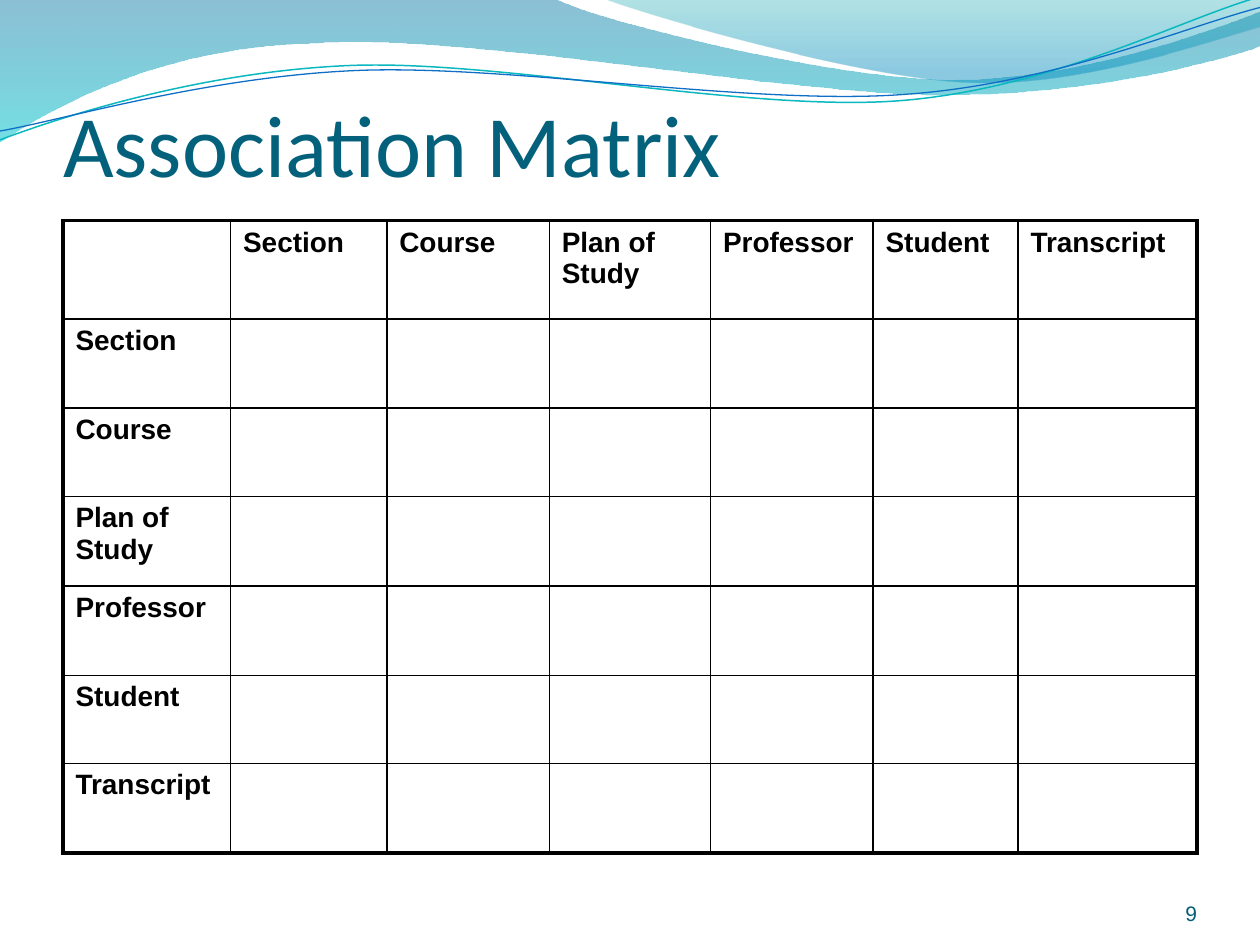
import math

import pptx
import pptx.dml.color
import pptx.enum.text
import pptx.oxml
import pptx.oxml.ns
import pptx.util
from pptx.util import Inches, Pt

RGBColor = pptx.dml.color.RGBColor
PP_ALIGN = pptx.enum.text.PP_ALIGN
MSO_ANCHOR = pptx.enum.text.MSO_ANCHOR
qn = pptx.oxml.ns.qn

BLACK = RGBColor(0x00, 0x00, 0x00)
TITLE_TEAL = RGBColor(0x04, 0x61, 0x7B)
NUMBER_TEAL = RGBColor(0x04, 0x5D, 0x75)
DEEP_BLUE = RGBColor(0x00, 0x74, 0xA1)
TURQUOISE = RGBColor(0x00, 0xC6, 0xCF)
SEA_GREEN = RGBColor(0x00, 0xA1, 0xA9)
SKY_BLUE = RGBColor(0x00, 0x8B, 0xBF)
LINE_TEAL = RGBColor(0x0A, 0xB8, 0xBF)
LINE_BLUE = RGBColor(0x0F, 0x6F, 0xC6)

CLASSES = ["Section", "Course", "Plan of Study", "Professor", "Student", "Transcript"]
COLUMN_WIDTHS = [1.33, 1.24, 1.29, 1.28, 1.29, 1.15, 1.42]
ROW_HEIGHTS = [0.78, 0.71, 0.7, 0.71, 0.71, 0.7, 0.71]
OUTER_BORDER, INNER_BORDER = 2.25, 1
WAVE_TILT = -2.7

# Each wave is a list of steps: one point is a line, three are a Bezier curve
BACK_WAVE = [
    [(0, 0)], [(4.4, -0.01)],
    [(4.76, 0.17), (6.64, 0.63), (7.58, 0.63)],
    [(8.53, 0.63), (9.58, 0.26), (10, 0.09)],
    [(10.01, 0.36)],
    [(9.83, 0.44), (8.7, 0.76), (7.46, 0.75)],
    [(6.22, 0.75), (3.82, 0.28), (2.57, 0.34)],
    [(1.29, 0.36), (0.46, 0.83), (-0.01, 1.13)],
    [(0, 0)],
]
FRONT_WAVE = [
    [(4.79, -0.01)],
    [(5.09, 0.11), (6.82, 0.62), (7.69, 0.65)],
    [(8.56, 0.69), (9.61, 0.32), (10, 0.21)],
    [(10, 0)], [(4.79, -0.01)],
]
TEAL_LINE = [
    [(0, 1.11)],
    [(0.48, 0.93), (1.58, 0.57), (2.77, 0.52)],
    [(3.95, 0.47), (5.93, 0.89), (7.13, 0.8)],
    [(8.33, 0.71), (9.38, 0.15), (9.98, -0.02)],
]
BLUE_LINE = [
    [(0, 1.04)],
    [(0.47, 0.96), (1.64, 0.61), (2.83, 0.56)],
    [(4.03, 0.51), (5.97, 0.84), (7.17, 0.75)],
    [(8.36, 0.67), (9.41, 0.21), (10, 0.06)],
]


def turn(steps, center, degrees):
    """Rotate the points of all steps clockwise about a center."""
    cos, sin = math.cos(math.radians(degrees)), math.sin(math.radians(degrees))
    cx, cy = center
    return [[(cx + (x - cx) * cos - (y - cy) * sin,
              cy + (x - cx) * sin + (y - cy) * cos) for x, y in step] for step in steps]


def write(frame, text, *, size, font="Arial", color=BLACK, bold=None,
          align=PP_ALIGN.LEFT, before=None):
    """Put one formatted paragraph into a text frame; before is a percentage."""
    paragraph = frame.paragraphs[0]
    paragraph.alignment = align
    if before:
        paragraph._p.get_or_add_pPr().append(pptx.oxml.parse_xml(
            f'<a:spcBef {pptx.oxml.ns.nsdecls("a")}>'
            f'<a:spcPct val="{before * 1000}"/></a:spcBef>'))
    run = paragraph.add_run()
    run.text = text
    run.font.name, run.font.size, run.font.bold = font, Pt(size), bold
    run.font.color.rgb = color


def set_border(cell, widths):
    """Draw black borders; widths are points for left, right, top, bottom."""
    properties = cell._tc.get_or_add_tcPr()
    for position, (side, width) in enumerate(zip("LRTB", widths)):
        properties.insert(position, pptx.oxml.parse_xml(
            f'<a:ln{side} {pptx.oxml.ns.nsdecls("a")} w="{Pt(width)}">'
            f'<a:solidFill><a:srgbClr val="{BLACK}"/></a:solidFill></a:ln{side}>'))


class MatrixSlide:
    def __init__(self, presentation):
        self.slide = presentation.slides.add_slide(presentation.slide_layouts[5])
        self.shapes = self.slide.shapes

    def outline(self, steps, close):
        corners = [(Inches(x), Inches(y)) for step in steps for x, y in step]
        builder = self.shapes.build_freeform(*corners[0], scale=1.0)
        builder.add_line_segments(corners[1:], close=close)
        shape = builder.convert_to_shape()
        shape.shadow.inherit = False
        # Join the three segments of each curve step into one Bezier segment
        segments = iter(list(shape._element.iter(qn("a:lnTo"))))
        for step in steps[1:]:
            first, *others = [next(segments) for _ in step]
            if others:
                first.tag = qn("a:cubicBezTo")
            for segment in others:
                first.append(segment[0])
                segment.getparent().remove(segment)
        return shape

    def wave(self, steps, stops):
        shape = self.outline(steps, close=True)
        shape.line.fill.background()
        shape.fill.gradient()
        shape.fill.gradient_angle = 270
        for stop, (position, color, opacity) in zip(shape.fill.gradient_stops, stops):
            stop.position = position
            stop.color.rgb = color
            stop._gs[0].append(pptx.oxml.parse_xml(
                f'<a:alpha {pptx.oxml.ns.nsdecls("a")} val="{opacity * 1000}"/>'))

    def tilted_line(self, steps, center, color, width):
        shape = self.outline(turn(steps, center, -WAVE_TILT), close=False)
        shape.rotation = WAVE_TILT
        shape.fill.background()
        shape.line.color.rgb = color
        shape.line.width = Pt(width)

    def title(self, text):
        title = self.shapes.title
        title.left, title.top = Inches(0.5), Inches(0.3)
        title.width, title.height = Inches(9), Inches(1.25)
        frame = title.text_frame
        frame.margin_left = frame.margin_right = frame.margin_bottom = 0
        frame.margin_top = Inches(0.05)
        frame.vertical_anchor = MSO_ANCHOR.BOTTOM
        write(frame, text, size=50, font="Calibri", color=TITLE_TEAL)
        # Bring the title in front of the waves
        self.shapes._spTree.append(title._element)

    def matrix(self, names):
        count = len(names) + 1
        table = self.shapes.add_table(
            count, count, Inches(0.5), Inches(1.75),
            Inches(sum(COLUMN_WIDTHS)), Inches(sum(ROW_HEIGHTS))).table
        table.first_row = table.horz_banding = False
        for column, width in zip(table.columns, COLUMN_WIDTHS):
            column.width = Inches(width)
        for r, (row, height) in enumerate(zip(table.rows, ROW_HEIGHTS)):
            row.height = Inches(height)
            for c, cell in enumerate(row.cells):
                cell.fill.background()
                edges = (c == 0, c == count - 1, r == 0, r == count - 1)
                set_border(cell, [OUTER_BORDER if edge else INNER_BORDER for edge in edges])
                if (r == 0) != (c == 0):
                    write(cell.text_frame, names[r + c - 1], size=16, bold=True, before=20)

    def page_number(self, text):
        box = self.shapes.add_textbox(Inches(8.67), Inches(6.95), Inches(0.83), Inches(0.4))
        frame = box.text_frame
        frame.word_wrap = True
        frame.margin_left = frame.margin_right = frame.margin_top = frame.margin_bottom = 0
        frame.vertical_anchor = MSO_ANCHOR.BOTTOM
        write(frame, text, size=12, color=NUMBER_TEAL, align=PP_ALIGN.RIGHT)


def main():
    presentation = pptx.Presentation()
    presentation.slide_width, presentation.slide_height = Inches(10), Inches(7.5)
    page = MatrixSlide(presentation)

    # Waves along the top
    page.wave(BACK_WAVE, [(0, DEEP_BLUE, 45), (1, TURQUOISE, 55)])
    page.wave(FRONT_WAVE, [(0, SEA_GREEN, 30), (0.8, SKY_BLUE, 45)])
    page.tilted_line(TEAL_LINE, (4.99, 0.57), LINE_TEAL, 0.85)
    page.tilted_line(BLUE_LINE, (5, 0.59), LINE_BLUE, 0.75)

    # Title, matrix and page number
    page.title("Association Matrix")
    page.matrix(CLASSES)
    page.page_number("9")

    presentation.save("out.pptx")


if __name__ == "__main__":
    main()
